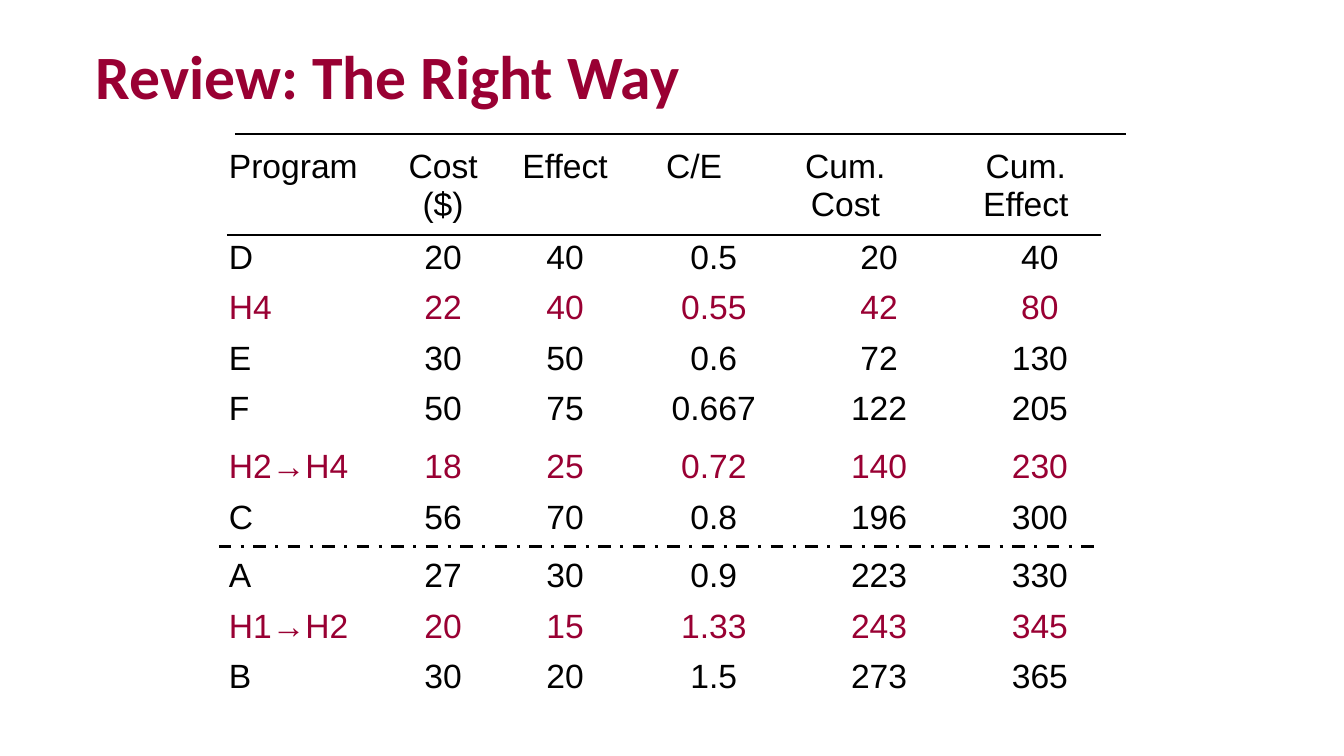
from lxml import etree
from pptx import Presentation, util as u
from pptx.dml.color import RGBColor
from pptx.enum import dml, shapes, text
from pptx.oxml.ns import qn

INK = {"black": "000000", "wine": "990033"}
WIDE, HIGH = 13.33, 7.5
COLS = [1.67, 1.11, 1.31, 1.25, 0.39, 1.36, 0.28, 1.55]
HEAD, ROW, TALL = 0.9, 0.5, 0.58
LEFT, TOP = 2.17, 1.42
# First and last grid column of each field
HEAD_COLS = [(0, 0), (1, 1), (2, 2), (3, 3), (4, 5), (6, 7)]
BODY_COLS = [(0, 0), (1, 1), (2, 2), (3, 4), (5, 6), (7, 7)]
HEADS = ["Program", "Cost ($)", "Effect", "C/E", "Cum. Cost", "Cum. Effect"]
BODY = [
    ["D", "20", "40", "0.5", "20", "40"],
    ["H4", "22", "40", "0.55", "42", "80"],
    ["E", "30", "50", "0.6", "72", "130"],
    ["F", "50", "75", "0.667", "122", "205"],
    ["H2→H4", "18", "25", "0.72", "140", "230"],
    ["C", "56", "70", "0.8", "196", "300"],
    ["A", "27", "30", "0.9", "223", "330"],
    ["H1→H2", "20", "15", "1.33", "243", "345"],
    ["B", "30", "20", "1.5", "273", "365"],
]
TALL_ROWS = {4, 6}


def add_run(para, words, size, font, ink, bold=False):
    run = para.add_run()
    run.text = words
    run.font.size = u.Pt(size)
    run.font.name = font
    run.font.bold = bold
    run.font.color.rgb = RGBColor.from_string(INK[ink])


def pad_top(para, share):
    """Set the space before as a share of the line height."""
    gap = etree.SubElement(para._p.get_or_add_pPr(), qn("a:spcBef"))
    etree.SubElement(gap, qn("a:spcPct")).set("val", str(int(share * 100000)))


def add_title(slide, words):
    title = slide.shapes.title
    title.left, title.top = u.Inches(0.85), u.Inches(0.25)
    title.width, title.height = u.Inches(11.45), u.Inches(1.08)
    frame = title.text_frame
    frame.vertical_anchor = text.MSO_ANCHOR.MIDDLE
    para = frame.paragraphs[0]
    para.alignment = text.PP_ALIGN.LEFT
    para.line_spacing = 0.9
    add_run(para, words, 44, "Calibri", "wine", True)


def fill_row(table, row, fields, spans, ink):
    for words, (first, last) in zip(fields, spans):
        cell = table.cell(row, first)
        if last > first:
            cell.merge(table.cell(row, last))
        para = cell.text_frame.paragraphs[0]
        para.alignment = text.PP_ALIGN.CENTER if first else text.PP_ALIGN.LEFT
        pad_top(para, 0.2)
        add_run(para, words, 24, "Arial", ink)


def add_grid(slide):
    highs = [HEAD] + [TALL if n in TALL_ROWS else ROW for n in range(1, 10)]
    highs[4], highs[6] = TALL, TALL
    frame = slide.shapes.add_table(
        len(highs), len(COLS), u.Inches(LEFT), u.Inches(TOP),
        u.Inches(sum(COLS)), u.Inches(sum(highs)))
    table = frame.table
    table.first_row = table.horz_banding = False
    for col, wide in zip(table.columns, COLS):
        col.width = u.Inches(wide)
    for row, high in zip(table.rows, highs):
        row.height = u.Inches(high)
    for cell in table.iter_cells():
        cell.fill.background()
    fill_row(table, 0, HEADS, HEAD_COLS, "black")
    for n, fields in enumerate(BODY, 1):
        ink = "wine" if fields[0].startswith("H") else "black"
        fill_row(table, n, fields, BODY_COLS, ink)


def add_rule(slide, start, end, y, weight=1, dash=None):
    rule = slide.shapes.add_connector(
        shapes.MSO_CONNECTOR.STRAIGHT,
        u.Inches(start), u.Inches(y), u.Inches(end), u.Inches(y))
    rule.line.color.rgb = RGBColor.from_string(INK["black"])
    rule.line.width = u.Pt(weight)
    if dash:
        rule.line.dash_style = dash
    etree.SubElement(rule._element.spPr, qn("a:effectLst"))


def main():
    deck = Presentation()
    deck.slide_width, deck.slide_height = u.Inches(WIDE), u.Inches(HIGH)
    slide = deck.slides.add_slide(deck.slide_layouts[5])
    add_title(slide, "Review: The Right Way")
    add_grid(slide)
    add_rule(slide, 2.25, 10.92, 2.33)
    add_rule(slide, 2.33, 11.17, 1.33)
    add_rule(slide, 2.17, 10.92, 5.42, 2.25, dml.MSO_LINE.DASH_DOT)
    deck.save("out.pptx")


if __name__ == "__main__":
    main()
